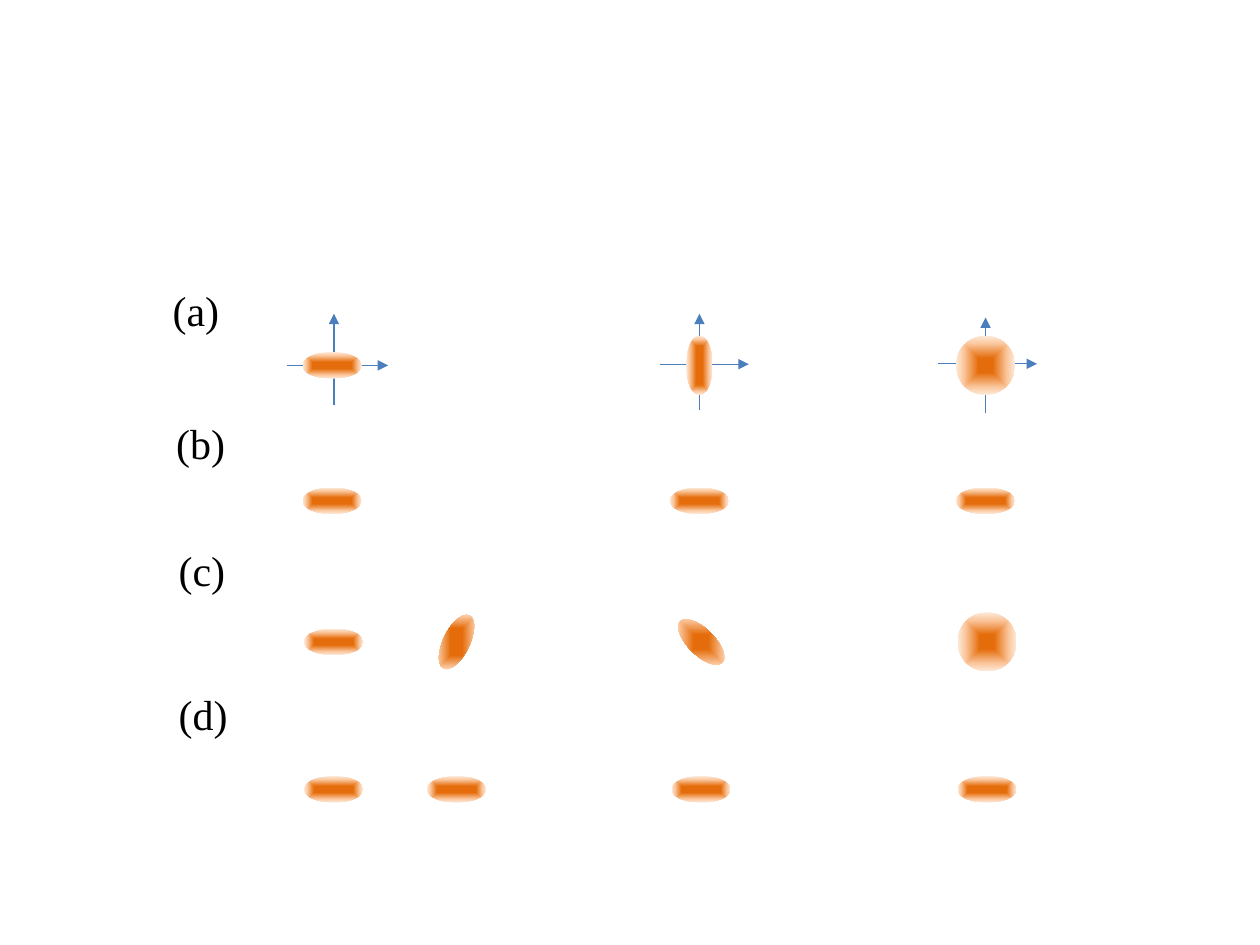
from lxml import etree
from pptx import Presentation
from pptx.dml.color import RGBColor
from pptx.enum.shapes import MSO_CONNECTOR, MSO_SHAPE
from pptx.enum.text import MSO_AUTO_SIZE
from pptx.oxml import parse_xml
from pptx.oxml.ns import nsdecls, qn
from pptx.util import Pt

SPOT_LENGTH, SPOT_WIDTH = 33.8, 15.1
ROW_A, ROW_B, ROW_C, ROW_D = 208.8, 286.2, 366.8, 451.1
LEFT, MIDDLE, RIGHT = 189.8, 399.7, 563.2
LOWER_LEFT, LOWER_SECOND, LOWER_MIDDLE, LOWER_RIGHT = 190.7, 260.9, 400.7, 564.1
GRADIENT_STOPS = [(24, "E46C0A"), (74, "FBC89F"), (100, "FDEADA")]


def color(code):
    return RGBColor.from_string(code)


def glow_fill():
    """Return a gradient that runs from the centre of a spot to its outline."""
    stops = "".join(
        f'<a:gs pos="{percent * 1000}"><a:srgbClr val="{code}"/></a:gs>'
        for percent, code in GRADIENT_STOPS
    )
    return parse_xml(
        f'<a:gradFill {nsdecls("a")} rotWithShape="1"><a:gsLst>{stops}</a:gsLst>'
        '<a:path path="shape"><a:fillToRect l="50000" t="50000" r="50000" b="50000"/>'
        "</a:path></a:gradFill>"
    )


presentation = Presentation()
presentation.slide_width, presentation.slide_height = Pt(720), Pt(540)
slide = presentation.slides.add_slide(presentation.slide_layouts[6])
figure = slide.shapes.add_group_shape().shapes

# Axes behind the spots of row (a)
axes = [
    (536, 207.9, 592.6, 207.9), (563.2, 236.2, 563.2, 181.4),
    (377.3, 208.1, 427.9, 208.1), (399.7, 234, 399.7, 179.3),
    (164.2, 208.8, 221.8, 208.8), (190.8, 231.6, 190.8, 179.3),
]
for ends in axes:
    axis = figure.add_connector(MSO_CONNECTOR.STRAIGHT, *map(Pt, ends))
    axis.line.color.rgb = color("4B7EBC")
    axis.line.width = Pt(0.75)
    etree.SubElement(axis.line._get_or_add_ln(), qn("a:tailEnd"), type="triangle")
    etree.SubElement(axis._element.spPr, qn("a:effectLst"))

# Spots: centre x, centre y, height, rotation
spots = [
    (LEFT, ROW_A, SPOT_WIDTH, 0),
    (MIDDLE, ROW_A, SPOT_WIDTH, 270),
    (RIGHT, ROW_A, SPOT_LENGTH, 0),
    *((x, ROW_B, SPOT_WIDTH, 0) for x in (LEFT, MIDDLE, RIGHT)),
    (LOWER_LEFT, ROW_C, SPOT_WIDTH, 0),
    (LOWER_SECOND, ROW_C, SPOT_WIDTH, 296.1),
    (LOWER_MIDDLE, ROW_C, SPOT_WIDTH, 224.5),
    (LOWER_RIGHT, ROW_C, SPOT_LENGTH, 0),
    *((x, ROW_D, SPOT_WIDTH, 0)
      for x in (LOWER_LEFT, LOWER_SECOND, LOWER_MIDDLE, LOWER_RIGHT)),
]
for x, y, height, rotation in spots:
    spot = figure.add_shape(
        MSO_SHAPE.OVAL, Pt(x - SPOT_LENGTH / 2), Pt(y - height / 2),
        Pt(SPOT_LENGTH), Pt(height),
    )
    spot.rotation = rotation
    spot.shadow.inherit = False
    spot.line.fill.background()
    spot._element.spPr.find(qn("a:prstGeom")).addnext(glow_fill())

# Row labels
label_format = {"name": "Times New Roman", "size": Pt(24)}
labels = [
    ("(a)", 91.6, 159.1), ("(b)", 93.6, 234.9),
    ("(c)", 95, 307.4), ("(d)", 95, 389.7),
]
for text, left, top in labels:
    label = figure.add_textbox(Pt(left), Pt(top), Pt(43), Pt(36)).text_frame
    label.word_wrap = False
    label.auto_size = MSO_AUTO_SIZE.SHAPE_TO_FIT_TEXT
    run = label.paragraphs[0].add_run()
    run.text = text
    for attribute, value in label_format.items():
        setattr(run.font, attribute, value)
    run.font.color.rgb = color("000000")

presentation.save("out.pptx")
